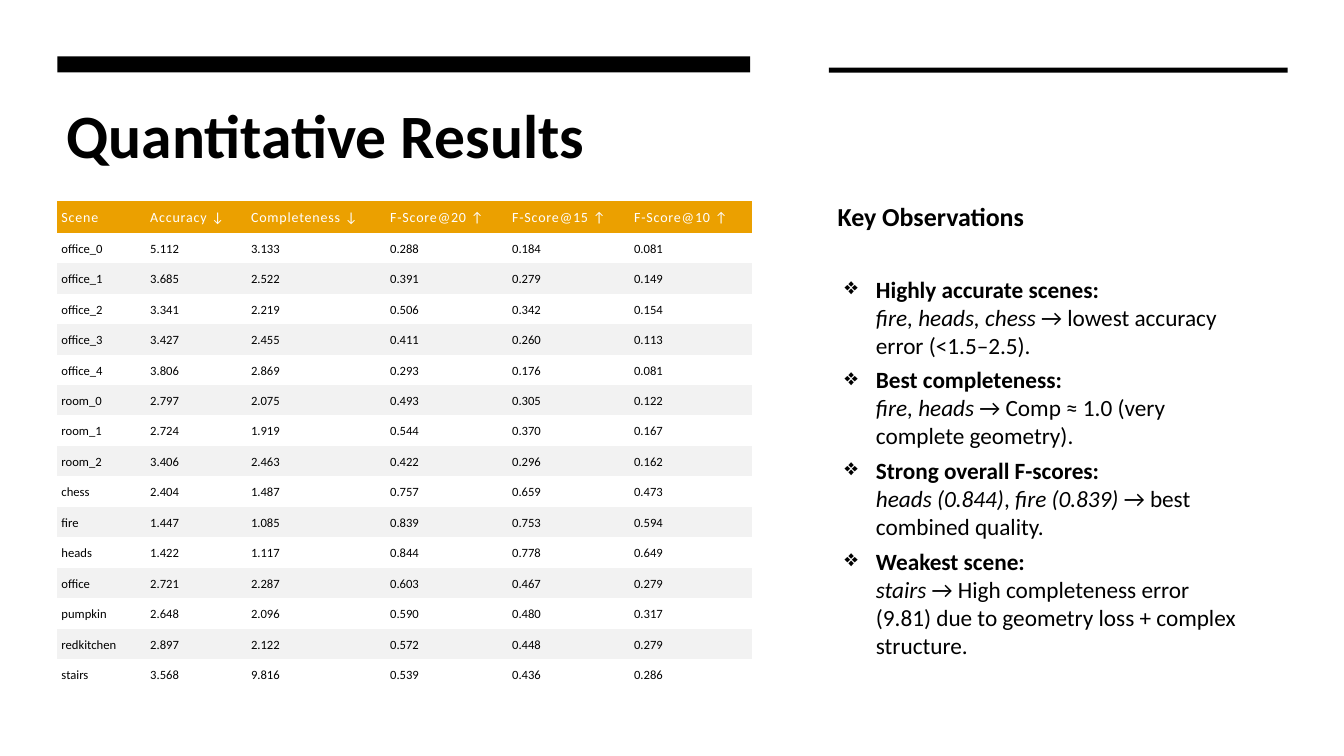
import pptx
import pptx.dml.color
import pptx.enum.shapes
import pptx.enum.text
import pptx.oxml.ns
import pptx.util
from lxml import etree

BLACK = pptx.dml.color.RGBColor(0x00, 0x00, 0x00)
WHITE = pptx.dml.color.RGBColor(0xFF, 0xFF, 0xFF)
AMBER = pptx.dml.color.RGBColor(0xEB, 0xA0, 0x00)
PALE_GREY = pptx.dml.color.RGBColor(0xF2, 0xF2, 0xF2)

EMU_PER_PX = 9144
PLAIN_TABLE = "{2D5ABB26-0587-4C30-8999-92F81FD0307C}"

HEADINGS = ["Scene", "Accuracy ↓", "Completeness ↓",
            "F-Score@20 ↑", "F-Score@15 ↑", "F-Score@10 ↑"]
COLUMN_WIDTHS = [88, 100, 138, 121, 121, 121]
SCENES = [
    ["office_0", "5.112", "3.133", "0.288", "0.184", "0.081"],
    ["office_1", "3.685", "2.522", "0.391", "0.279", "0.149"],
    ["office_2", "3.341", "2.219", "0.506", "0.342", "0.154"],
    ["office_3", "3.427", "2.455", "0.411", "0.260", "0.113"],
    ["office_4", "3.806", "2.869", "0.293", "0.176", "0.081"],
    ["room_0", "2.797", "2.075", "0.493", "0.305", "0.122"],
    ["room_1", "2.724", "1.919", "0.544", "0.370", "0.167"],
    ["room_2", "3.406", "2.463", "0.422", "0.296", "0.162"],
    ["chess", "2.404", "1.487", "0.757", "0.659", "0.473"],
    ["fire", "1.447", "1.085", "0.839", "0.753", "0.594"],
    ["heads", "1.422", "1.117", "0.844", "0.778", "0.649"],
    ["office", "2.721", "2.287", "0.603", "0.467", "0.279"],
    ["pumpkin", "2.648", "2.096", "0.590", "0.480", "0.317"],
    ["redkitchen", "2.897", "2.122", "0.572", "0.448", "0.279"],
    ["stairs", "3.568", "9.816", "0.539", "0.436", "0.286"],
]
OBSERVATIONS = [
    ("Highly accurate scenes:",
     [("fire, heads, chess", True), (" → lowest accuracy error (<1.5–2.5).", False)]),
    ("Best completeness:",
     [("fire, heads", True), (" → Comp ≈ 1.0 (very complete geometry).", False)]),
    ("Strong overall F-scores:",
     [("heads (0.844)", True), (", ", False), ("fire (0.839)", True),
      (" → best combined quality.", False)]),
    ("Weakest scene:",
     [("stairs", True),
      (" → High completeness error (9.81) due to geometry loss + complex structure.", False)]),
]


def px(length):
    return pptx.util.Emu(length * EMU_PER_PX)


class SlideBuilder:
    font_name = "Calibri"

    def __init__(self, page):
        self.page = page

    def style(self, span, size, color=BLACK, bold=False, italic=False):
        span.font.name = self.font_name
        span.font.size = pptx.util.Pt(size)
        span.font.color.rgb = color
        span.font.bold = bold
        span.font.italic = italic

    def bar(self, left, top, width, height, color):
        shape = self.page.shapes.add_shape(
            pptx.enum.shapes.MSO_SHAPE.RECTANGLE, px(left), px(top), px(width), px(height))
        shape.shadow.inherit = False
        shape.fill.solid()
        shape.fill.fore_color.rgb = color
        shape.line.fill.background()

    def text(self, left, top, width, height, words, size):
        box = self.page.shapes.add_textbox(px(left), px(top), px(width), px(height))
        frame = box.text_frame
        frame.word_wrap = True
        frame.text = words
        self.style(frame.paragraphs[0].runs[0], size, bold=True)
        return frame

    def bullet(self, frame, heading, details, size):
        para = frame.add_paragraph()
        para.text = heading + "\n"
        self.style(para.runs[0], size, bold=True)
        line_break = para._p.find(pptx.oxml.ns.qn("a:br"))
        etree.SubElement(line_break, pptx.oxml.ns.qn("a:rPr"), sz=str(round(size * 100)))
        for words, italic in details:
            span = para.add_run()
            span.text = words
            self.style(span, size, italic=italic)
        properties = para._p.get_or_add_pPr()
        properties.set("marL", str(px(38)))
        properties.set("indent", str(px(-31)))
        etree.SubElement(properties, pptx.oxml.ns.qn("a:buChar"), char="❖")
        para.space_after = pptx.util.Pt(5)

    def cell(self, cell, words, size, color, fill, right_margin, spacing):
        cell.text = words
        cell.vertical_anchor = pptx.enum.text.MSO_ANCHOR.MIDDLE
        cell.margin_left, cell.margin_top = px(4), px(5)
        cell.margin_right, cell.margin_bottom = px(right_margin), px(3)
        span = cell.text_frame.paragraphs[0].runs[0]
        self.style(span, size, color)
        span._r.get_or_add_rPr().set("spc", str(spacing))
        if fill is None:
            cell.fill.background()
        else:
            cell.fill.solid()
            cell.fill.fore_color.rgb = fill

    def table(self, left, top, height, header_height, widths, headings, rows):
        table = self.page.shapes.add_table(
            len(rows) + 1, len(widths), px(left), px(top), px(sum(widths)), px(height)).table
        table.first_row = False
        table.horz_banding = False
        table._tbl.tblPr.find(pptx.oxml.ns.qn("a:tableStyleId")).text = PLAIN_TABLE
        for column, width in zip(table.columns, widths):
            column.width = px(width)
        row_height = px(height - header_height) // len(rows)
        for row_index, values in enumerate([headings] + rows):
            is_header = row_index == 0
            table.rows[row_index].height = px(header_height) if is_header else row_height
            for column_index, words in enumerate(values):
                cell = table.cell(row_index, column_index)
                if is_header:
                    self.cell(cell, words, 10, WHITE, AMBER, 4, 60)
                else:
                    band = None if row_index % 2 else PALE_GREY
                    self.cell(cell, words, 9, BLACK, band, 2, 0)


def main():
    deck = pptx.Presentation()
    deck.slide_width, deck.slide_height = px(1333), px(750)
    builder = SlideBuilder(deck.slides.add_slide(deck.slide_layouts[6]))

    builder.bar(0, 0, 1333, 750, WHITE)
    title = builder.text(56, 100, 689, 145, "Quantitative Results", 44)
    title.paragraphs[0].line_spacing = 0.9
    builder.bar(57, 56, 687, 16, BLACK)
    builder.bar(822, 67, 455, 5, BLACK)

    observations = builder.text(821, 194, 420, 500, "Key Observations", 18.5)
    observations.paragraphs[0].space_after = pptx.util.Pt(31)
    for heading, details in OBSERVATIONS:
        builder.bullet(observations, heading, details, 16.6)

    builder.table(57, 199, 485, 32, COLUMN_WIDTHS, HEADINGS, SCENES)
    deck.save("out.pptx")


if __name__ == "__main__":
    main()
